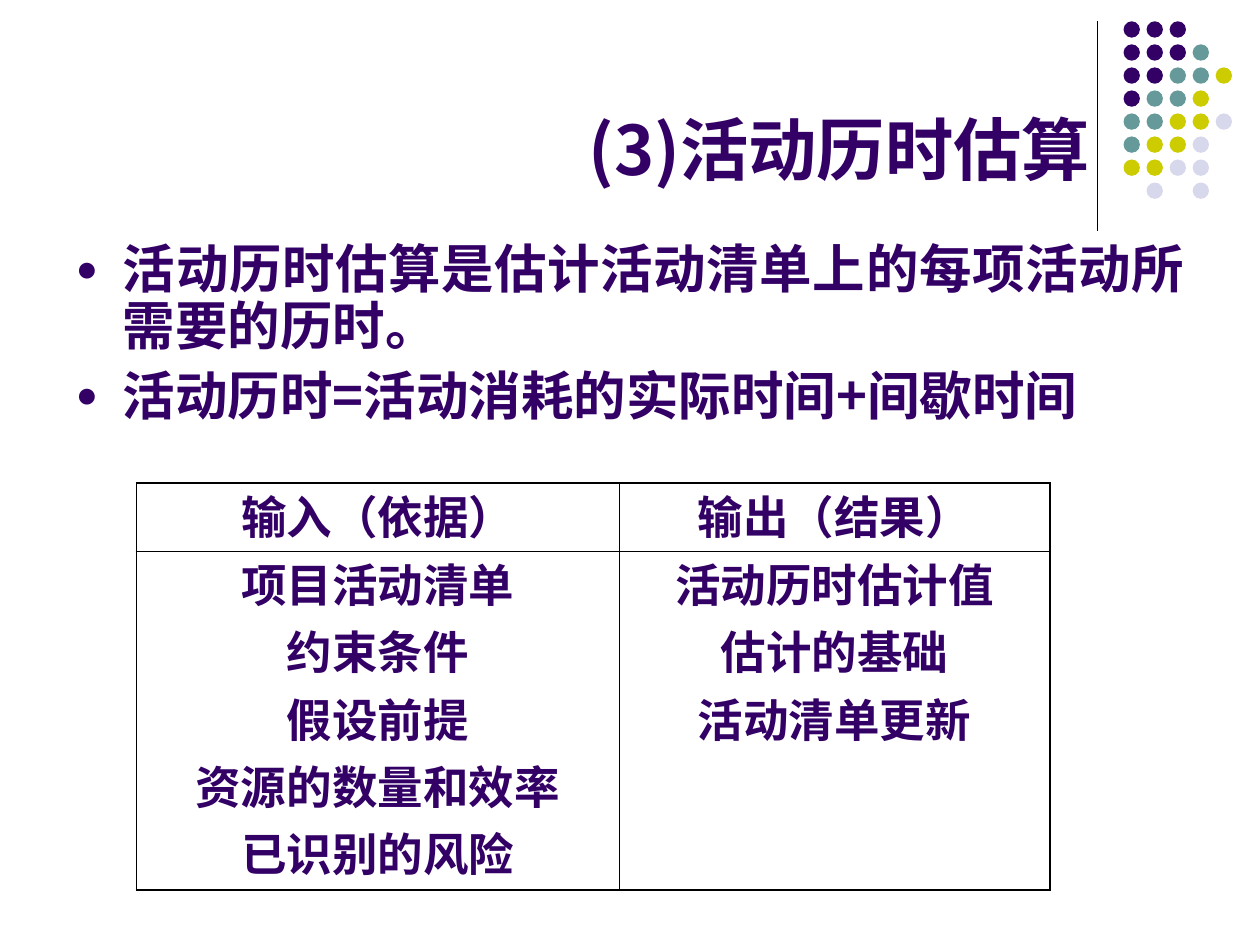
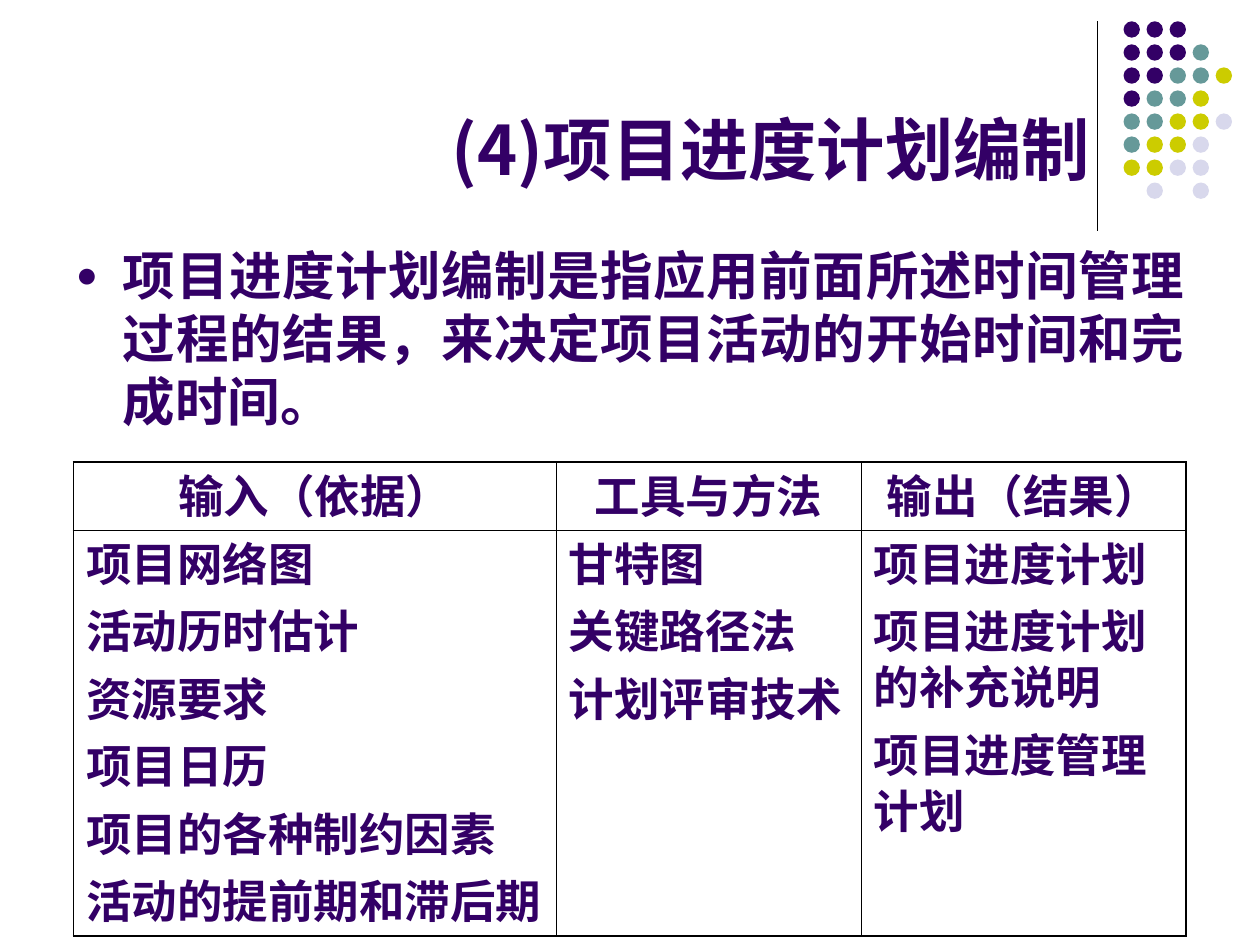
from dataclasses import dataclass

from lxml import etree
from pptx import Presentation
from pptx.dml.color import RGBColor
from pptx.enum.lang import MSO_LANGUAGE_ID
from pptx.enum.shapes import MSO_CONNECTOR, MSO_SHAPE
from pptx.enum.text import MSO_ANCHOR, PP_ALIGN
from pptx.oxml.ns import qn
from pptx.util import Cm, Pt

LEFT, RIGHT = PP_ALIGN.LEFT, PP_ALIGN.RIGHT
CENTER, JUSTIFY = PP_ALIGN.CENTER, PP_ALIGN.JUSTIFY
TOP, BOTTOM = MSO_ANCHOR.TOP, MSO_ANCHOR.BOTTOM
OVAL, STRAIGHT = MSO_SHAPE.OVAL, MSO_CONNECTOR.STRAIGHT
CHINESE = MSO_LANGUAGE_ID.SIMPLIFIED_CHINESE


@dataclass(frozen=True)
class Theme:
    ink: str = "330066"
    teal: str = "669999"
    olive: str = "CCCC00"
    pale: str = "D8D8EC"
    rule: str = "000000"
    latin: str = "Arial"
    cjk: str = "Noto Sans CJK JP"
    title: int = 39
    body: int = 30
    cell: int = 26
    outer: float = 1.08
    inner: float = 0.45


DOT_ROWS = ["III", "IIIT", "IITTO", "ITTO", "TTOOP", "TOOP", "OOPP", " P P"]
DOT_PITCH = 3.25 / 7
DOT_SIZE = 0.33


class Deck:
    def __init__(self, theme):
        self.theme = theme
        self.prs = Presentation()
        self.prs.slide_width, self.prs.slide_height = Cm(25.4), Cm(19.05)
        self.s = None

    def slide(self, title):
        self.s = self.prs.slides.add_slide(self.prs.slide_layouts[6])
        self.line(22.12, 0.43, 22.12, 4.65)
        self.dots(22.65, 0.43)
        self.text((1.27, 0.33, 20.95, 3.61), [title], BOTTOM, size=self.theme.title,
                  font=self.theme.cjk, alignment=RIGHT)

    def line(self, x1, y1, x2, y2):
        c = self.s.shapes.add_connector(STRAIGHT, Cm(x1), Cm(y1), Cm(x2), Cm(y2))
        c.line.color.rgb = RGBColor.from_string(self.theme.rule)
        c.line.width = Pt(0.75)
        etree.SubElement(c.line._ln.getparent(), qn("a:effectLst"))

    def dots(self, left, top):
        t = self.theme
        colors = {"I": t.ink, "T": t.teal, "O": t.olive, "P": t.pale}
        group = self.s.shapes.add_group_shape()
        for row, codes in enumerate(DOT_ROWS):
            for col, code in enumerate(codes):
                if code not in colors:
                    continue
                dot = group.shapes.add_shape(
                    OVAL, Cm(left + col * DOT_PITCH), Cm(top + row * DOT_PITCH),
                    Cm(DOT_SIZE), Cm(DOT_SIZE))
                dot.shadow.inherit = False
                dot.fill.solid()
                dot.fill.fore_color.rgb = RGBColor.from_string(colors[code])
                dot.line.fill.background()

    def text(self, box, lines, anchor=TOP, **style):
        tf = self.s.shapes.add_textbox(*map(Cm, box)).text_frame
        tf.word_wrap = True
        tf.vertical_anchor = anchor
        self.paragraphs(tf, lines, **style)

    def bullets(self, lines, spacing, font):
        self.text((1.28, 4.78, 22.86, 4.32), lines, size=self.theme.body, font=font,
                  bullet=True, gap=7.5, alignment=JUSTIFY, line_spacing=spacing)

    def paragraphs(self, tf, lines, size, font, gap=0, bullet=False, **formats):
        for i, line in enumerate(lines):
            p = tf.paragraphs[0] if i == 0 else tf.add_paragraph()
            if bullet:
                self.bullet(p)
            for name, value in formats.items():
                setattr(p, name, value)
            if i and gap:
                p.space_before = Pt(gap)
            r = p.add_run()
            r.text = line
            values = {"size": Pt(size), "bold": True, "name": font, "language_id": CHINESE}
            for name, value in values.items():
                setattr(r.font, name, value)
            r.font.color.rgb = RGBColor.from_string(self.theme.ink)
            etree.SubElement(r._r.get_or_add_rPr(), qn("a:ea"), typeface=self.theme.cjk)

    def bullet(self, p):
        pPr = p._p.get_or_add_pPr()
        pPr.set("marL", str(Cm(0.95)))
        pPr.set("indent", str(-Cm(0.95)))
        color = etree.SubElement(pPr, qn("a:buClr"))
        etree.SubElement(color, qn("a:srgbClr"), val=self.theme.ink)
        etree.SubElement(pPr, qn("a:buSzPct"), val="70000")
        etree.SubElement(pPr, qn("a:buFont"), typeface=self.theme.latin)
        etree.SubElement(pPr, qn("a:buChar"), char="●")

    def table(self, left, top, widths, heights, columns, body_align):
        frame = self.s.shapes.add_table(2, len(widths), Cm(left), Cm(top),
                                        Cm(sum(widths)), Cm(sum(heights)))
        table = frame.table
        table.first_row = table.horz_banding = False
        for row, height in zip(table.rows, heights):
            row.height = Cm(height)
        last = len(widths) - 1
        for col, (width, (heading, items)) in enumerate(zip(widths, columns)):
            table.columns[col].width = Cm(width)
            for row, (lines, align) in enumerate([([heading], CENTER), (items, body_align)]):
                cell = table.cell(row, col)
                self.borders(cell, L=col == 0, R=col == last, T=row == 0, B=row == 1)
                cell.fill.background()
                self.paragraphs(cell.text_frame, lines, size=self.theme.cell,
                                font=self.theme.latin, gap=6.5, alignment=align,
                                line_spacing=0.85)

    def borders(self, cell, **outer_sides):
        tcPr = cell._tc.get_or_add_tcPr()
        for side, is_outer in outer_sides.items():
            width = self.theme.outer if is_outer else self.theme.inner
            ln = etree.SubElement(tcPr, qn(f"a:ln{side}"), w=str(Pt(width)))
            fill = etree.SubElement(ln, qn("a:solidFill"))
            etree.SubElement(fill, qn("a:srgbClr"), val=self.theme.rule)


def duration_estimate(deck):
    deck.slide("(3)活动历时估算")
    deck.bullets(["活动历时估算是估计活动清单上的每项活动所需要的历时。",
                  "活动历时=活动消耗的实际时间+间歇时间"], 0.9, deck.theme.cjk)
    deck.table(2.75, 9.74, [9.73, 8.69], [1.37, 6.83], [
        ("输入（依据）", ["项目活动清单", "约束条件", "假设前提", "资源的数量和效率", "已识别的风险"]),
        ("输出（结果）", ["活动历时估计值", "估计的基础", "活动清单更新"]),
    ], CENTER)


def schedule_planning(deck):
    deck.slide("(4)项目进度计划编制")
    deck.bullets(["项目进度计划编制是指应用前面所述时间管理过程的结果，"
                  "来决定项目活动的开始时间和完成时间。"], 1.0, deck.theme.latin)
    deck.table(1.48, 9.32, [9.73, 6.15, 6.55], [1.37, 8.18], [
        ("输入（依据）", ["项目网络图", "活动历时估计", "资源要求", "项目日历",
                    "项目的各种制约因素", "活动的提前期和滞后期"]),
        ("工具与方法", ["甘特图", "关键路径法", "计划评审技术"]),
        ("输出（结果）", ["项目进度计划", "项目进度计划的补充说明", "项目进度管理计划"]),
    ], LEFT)


def main():
    deck = Deck(Theme())
    duration_estimate(deck)
    schedule_planning(deck)
    deck.prs.save("out.pptx")


if __name__ == "__main__":
    main()
